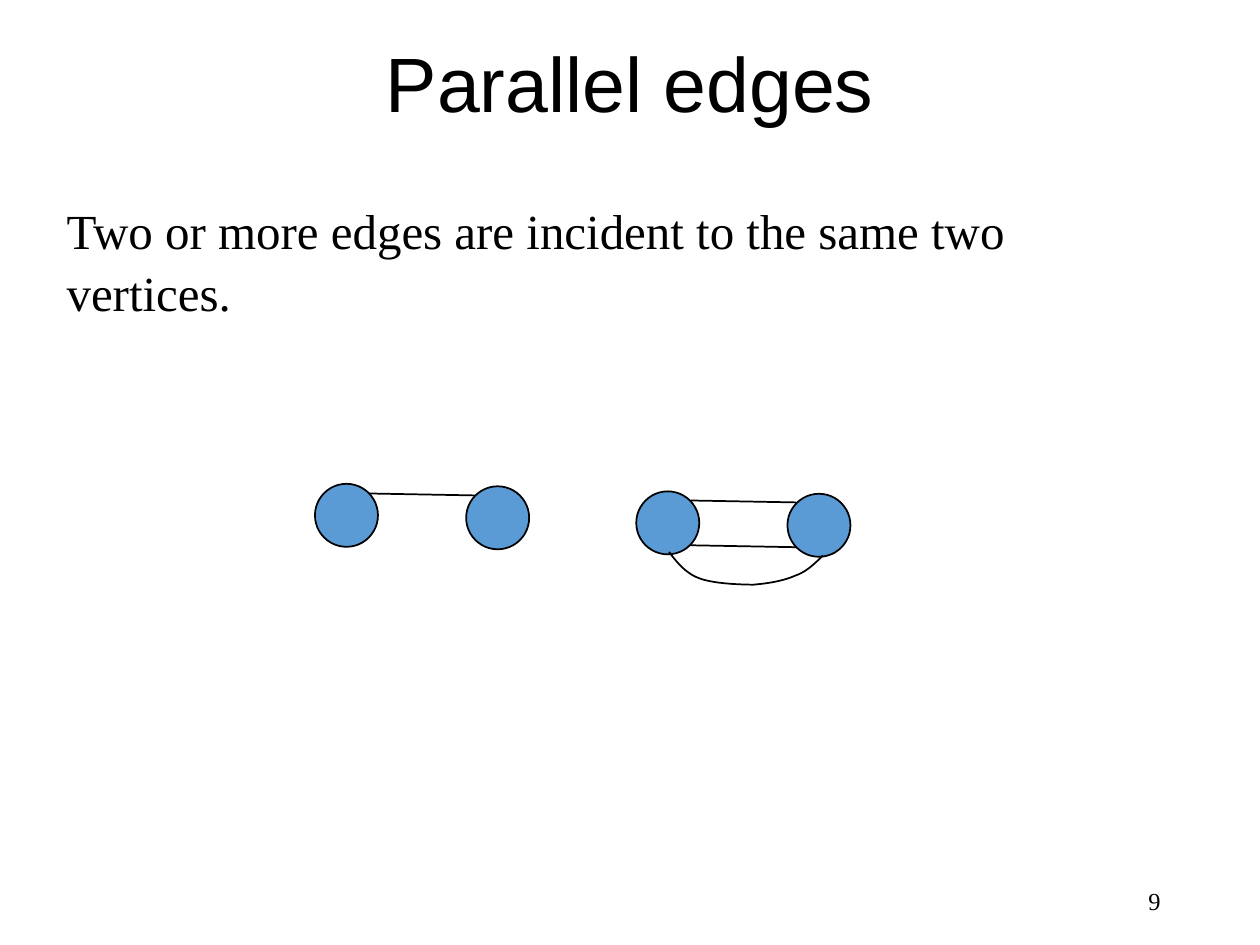
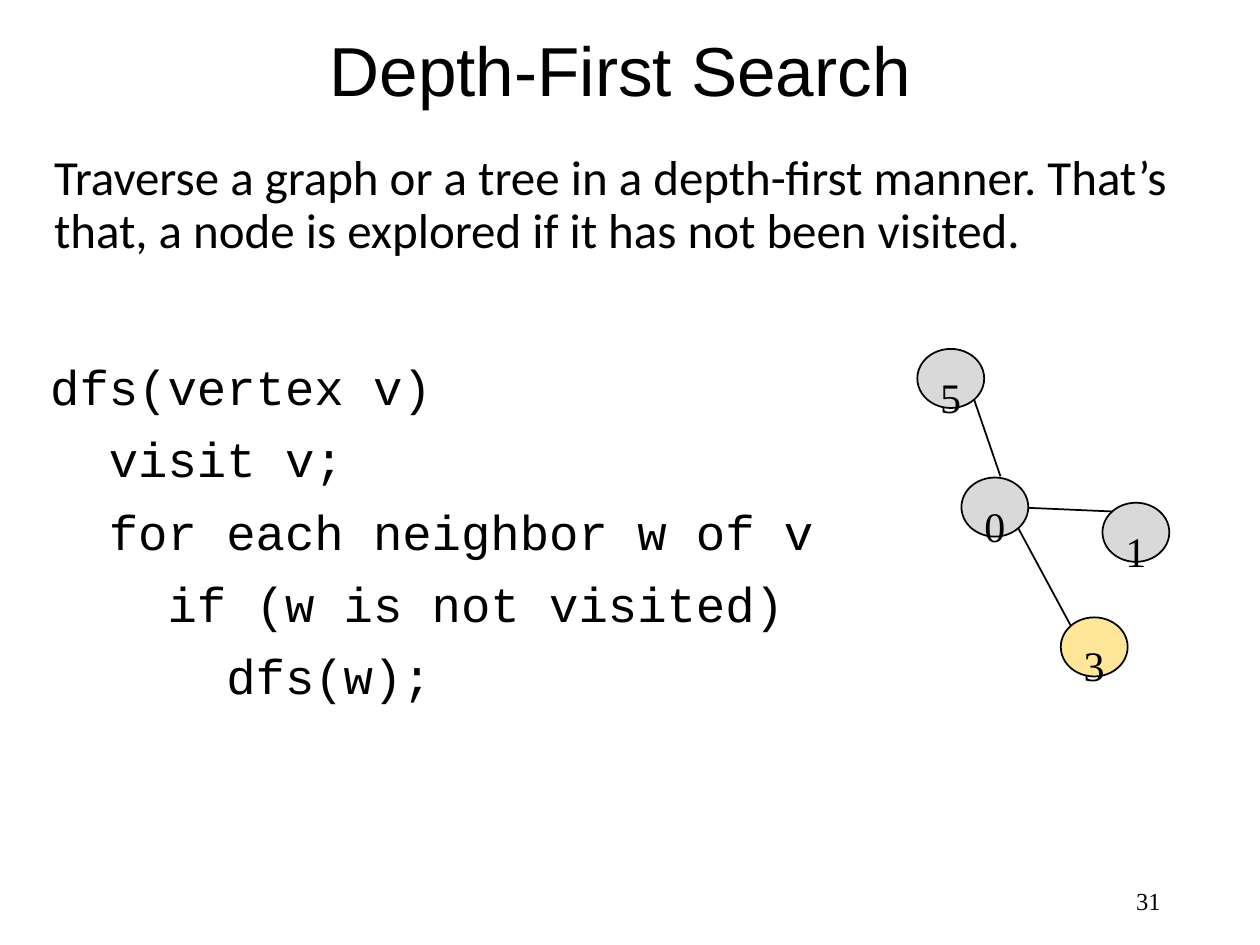
from lxml.etree import SubElement
from pptx import Presentation
from pptx.dml.color import RGBColor
from pptx.enum.shapes import MSO_CONNECTOR, MSO_SHAPE
from pptx.enum.text import MSO_ANCHOR, PP_ALIGN
from pptx.oxml.ns import qn
from pptx.util import Pt

BLACK = RGBColor(0x00, 0x00, 0x00)
WHITE = RGBColor(0xFF, 0xFF, 0xFF)
BLUE = RGBColor(0x5B, 0x9B, 0xD5)
GREY = RGBColor(0xD9, 0xD9, 0xD9)
YELLOW = RGBColor(0xFF, 0xE6, 0x99)
SANS, BODY, CODE, SERIF = "Arial", "Calibri", "Courier New", "Times New Roman"

CODE_LINES = [
    "dfs(vertex v)",
    "  visit v;",
    "  for each neighbor w of v",
    "    if (w is not visited)",
    "      dfs(w);",
]
TREE_NODES = [
    ("0", 549.4, 272.9, GREY),
    ("1", 630, 287.3, GREY),
    ("3", 606.2, 352.8, YELLOW),
    ("5", 524.2, 199.4, GREY),
]
TREE_EDGES = [
    ((587.5, 290.2), (635.8, 292.3)),
    ((581.8, 301.7), (612, 357.8)),
    ((556.6, 228.2), (571.7, 272.2)),
]
CURVE_START = (382.3, 315.4)
CURVE_PARTS = [
    ((386.6, 321.1), (391.7, 327.6), (399.6, 330.5)),
    ((407.5, 333.4), (421.2, 334.1), (430.6, 334.1)),
    ((439.2, 333.4), (447.8, 331.9), (454.3, 329)),
    ((460.8, 326.9), (465.8, 321.8), (470.2, 317.5)),
]


def write_text(shape, text, font, size, align=PP_ALIGN.LEFT, anchor=MSO_ANCHOR.TOP,
               line_spacing=1.0, space_before=0, space_after=0, top_inset=3.6, wrap=True):
    frame = shape.text_frame
    frame.word_wrap = wrap
    frame.vertical_anchor = anchor
    frame.margin_top = Pt(top_inset)
    for index, line in enumerate(text.split("\n")):
        para = frame.add_paragraph() if index else frame.paragraphs[0]
        para.text = line
        para.alignment = align
        para.line_spacing = line_spacing
        para.space_before = Pt(space_before if index else 0)
        para.space_after = Pt(space_after)
        para.font.name = font
        para.font.size = Pt(size)
        para.font.color.rgb = BLACK


def add_text(page, text, left, top, width, height, **style):
    box = page.shapes.add_textbox(Pt(left), Pt(top), Pt(width), Pt(height))
    write_text(box, text, **style)


def add_page(deck, title, number, title_top, title_height, title_size):
    page = deck.slides.add_slide(deck.slide_layouts[6])
    page.background.fill.solid()
    page.background.fill.fore_color.rgb = WHITE
    add_text(page, title, 54, title_top, 612, title_height, font=SANS, size=title_size,
             align=PP_ALIGN.CENTER, anchor=MSO_ANCHOR.MIDDLE, line_spacing=0.9)
    add_text(page, number, 508.3, 500.4, 162, 28.8, font=SERIF, size=14,
             align=PP_ALIGN.RIGHT, anchor=MSO_ANCHOR.MIDDLE)
    return page


def outline(shape):
    shape.line.color.rgb = BLACK
    shape.line.width = Pt(1)


def add_vertex(page, left, top, width, height, color, label=None):
    vertex = page.shapes.add_shape(MSO_SHAPE.OVAL, Pt(left), Pt(top), Pt(width), Pt(height))
    vertex.shadow.inherit = False
    vertex.fill.solid()
    vertex.fill.fore_color.rgb = color
    outline(vertex)
    if label:
        write_text(vertex, label, SERIF, 24, align=PP_ALIGN.CENTER, top_inset=8, wrap=False)


def add_edge(page, start, end):
    edge = page.shapes.add_connector(MSO_CONNECTOR.STRAIGHT, *map(Pt, start + end))
    outline(edge)
    SubElement(edge._element.spPr, qn("a:effectLst"))


def add_vertex_pair(page, left, top, edge_drops):
    for across, down in ((0, 0), (86.4, 1.4)):
        add_vertex(page, left + across, top + down, 36, 36, BLUE)
    for drop in edge_drops:
        add_edge(page, (left + 31, top + drop), (left + 91.4, top + drop + 1.1))


def bezier_point(points, t):
    weights = ((1 - t) ** 3, 3 * t * (1 - t) ** 2, 3 * t ** 2 * (1 - t), t ** 3)
    return tuple(Pt(sum(w * p[axis] for w, p in zip(weights, points))) for axis in (0, 1))


def add_curve(page, start, parts, steps=10):
    builder = page.shapes.build_freeform(*map(Pt, start))
    for part in parts:
        points = (start, *part)
        builder.add_line_segments(
            [bezier_point(points, step / steps) for step in range(1, steps + 1)], close=False)
        start = part[-1]
    curve = builder.convert_to_shape()
    curve.shadow.inherit = False
    curve.fill.background()
    outline(curve)


def add_parallel_edges(deck):
    page = add_page(deck, "Parallel edges", "9", 22.3, 55.4, 44)
    add_text(page, "Two or more edges are incident to the same two \vvertices.",
             31, 109.4, 707.8, 74.9, font=SERIF, size=28, line_spacing=1.05, space_after=12)
    add_vertex_pair(page, 180, 276.5, [5.5])
    add_vertex_pair(page, 363.6, 280.8, [5.2, 30.8])
    add_curve(page, CURVE_START, CURVE_PARTS)


def add_depth_first_search(deck):
    page = add_page(deck, "Depth-First Search ", "31", 18, 48.2, 39.6)
    add_text(page, "Traverse a graph or a tree in a depth-first manner. That’s that, "
             "a node is explored if it has not been visited.",
             23.8, 84.2, 684, 144, font=BODY, size=28, line_spacing=0.9)
    add_text(page, "\n".join(CODE_LINES), 21.6, 194.4, 617.8, 288, font=CODE, size=28,
             space_before=7.6, top_inset=9.5)
    for label, left, top, color in TREE_NODES:
        add_vertex(page, left, top, 38.2, 33.8, color, label)
    for start, end in TREE_EDGES:
        add_edge(page, start, end)


def main():
    deck = Presentation()
    deck.slide_width, deck.slide_height = Pt(720), Pt(540)
    add_parallel_edges(deck)
    add_depth_first_search(deck)
    deck.save("out.pptx")


if __name__ == "__main__":
    main()
